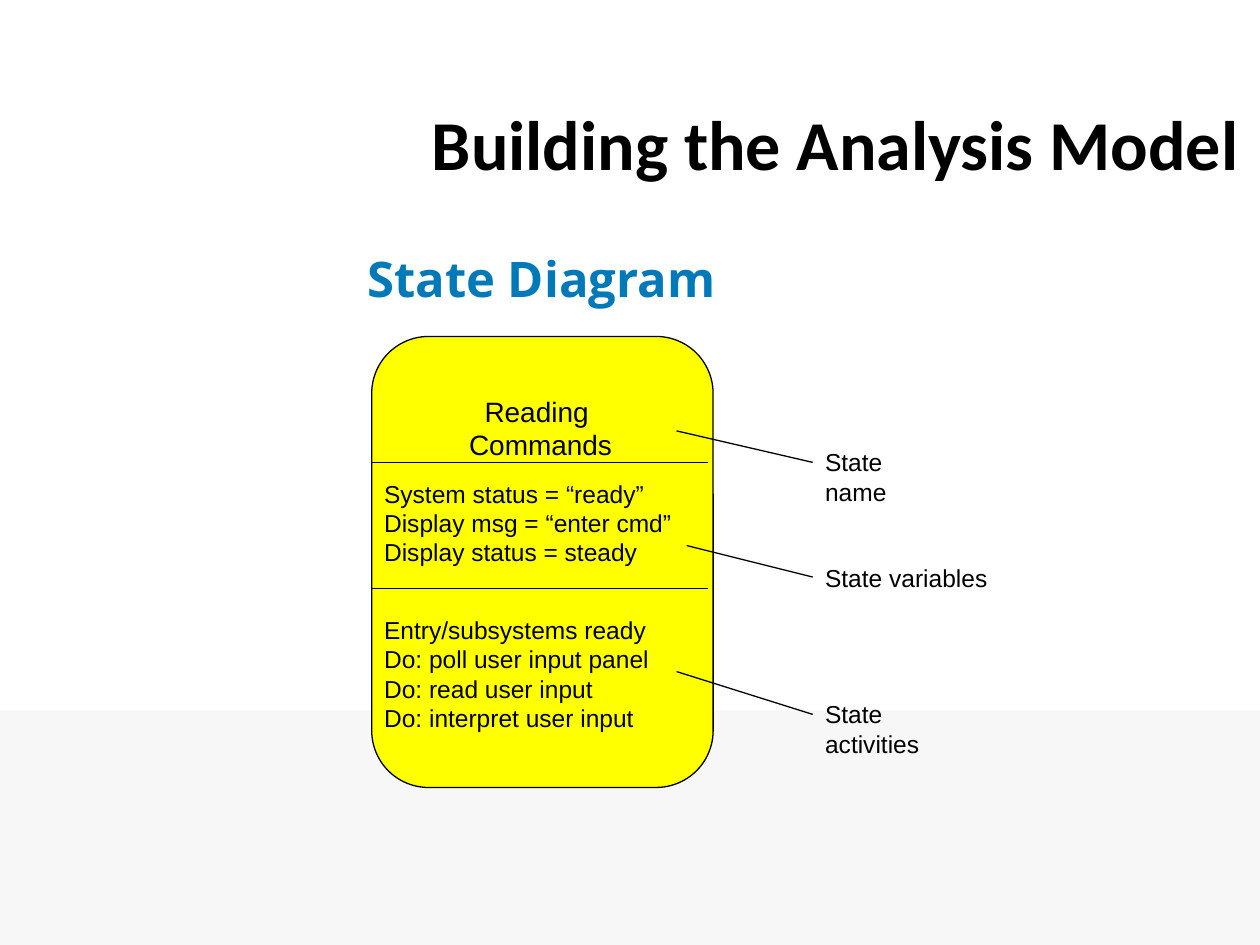
"""Builds the State Diagram slide of the analysis model."""
from dataclasses import dataclass

from lxml.etree import SubElement
from pptx import Presentation
from pptx.dml.color import RGBColor
from pptx.enum.shapes import MSO_CONNECTOR, MSO_SHAPE
from pptx.enum.text import MSO_ANCHOR, PP_ALIGN
from pptx.oxml.ns import qn
from pptx.util import Inches, Pt


@dataclass(frozen=True)
class Theme:
    black: RGBColor = RGBColor(0, 0, 0)
    blue: RGBColor = RGBColor(0x00, 0x79, 0xB8)
    yellow: RGBColor = RGBColor(0xFF, 0xFF, 0x00)
    band: RGBColor = RGBColor(0xF7, 0xF7, 0xF7)
    heading: int = 40
    subheading: int = 28
    name: int = 16
    body: int = 14
    line: float = 0.75


theme = Theme()
prs = Presentation()
prs.slide_width, prs.slide_height = Inches(10), Inches(7.5)
shapes = prs.slides.add_slide(prs.slide_layouts[6]).shapes


def add_text(box, lines, size=theme.body, font="Arial", color=theme.black,
             bold=False, align=PP_ALIGN.LEFT, anchor=MSO_ANCHOR.TOP, wrap=True):
    frame = shapes.add_textbox(*map(Inches, box)).text_frame
    frame.word_wrap = wrap
    frame.vertical_anchor = anchor
    frame.text = "\n".join(lines)
    for paragraph in frame.paragraphs:
        paragraph.alignment = align
        paragraph.font.name = font
        paragraph.font.size = Pt(size)
        paragraph.font.bold = bold
        paragraph.font.color.rgb = color


def add_line(*ends):
    line = shapes.add_connector(MSO_CONNECTOR.STRAIGHT, *map(Inches, ends))
    line.line.color.rgb = theme.black
    line.line.width = Pt(theme.line)
    SubElement(line._element.spPr, qn("a:effectLst"))


band = shapes.add_shape(MSO_SHAPE.RECTANGLE, Inches(0), Inches(5.64), Inches(10), Inches(1.86))
band.shadow.inherit = False
band.fill.solid()
band.fill.fore_color.rgb = theme.band
band.line.fill.background()

add_text((3.33, 0.75, 6.67, 0.77), ["Building the Analysis Model"],
         theme.heading, "Calibri", bold=True)
add_text((1.92, 1.83, 4.75, 0.75), ["State Diagram"], theme.subheading, "Open Sans",
         theme.blue, True, PP_ALIGN.CENTER, MSO_ANCHOR.MIDDLE)

state = shapes.add_shape(MSO_SHAPE.ROUNDED_RECTANGLE,
                         Inches(2.95), Inches(2.67), Inches(2.71), Inches(3.58))
state.adjustments[0] = 1 / 6
state.shadow.inherit = False
state.fill.solid()
state.fill.fore_color.rgb = theme.yellow
state.line.color.rgb = theme.black
state.line.width = Pt(theme.line)

for divider_y in (3.67, 4.67):
    add_line(2.95, divider_y, 5.62, divider_y)

add_text((3.62, 3.08, 1.34, 0.64), ["Reading ", "Commands"], theme.name, align=PP_ALIGN.CENTER)
add_text((2.95, 3.75, 2.58, 0.8), [
    "System status = “ready”",
    "Display msg = “enter cmd”",
    "Display status = steady",
])
add_text((2.95, 4.83, 2.58, 1.27), [
    "Entry/subsystems ready",
    "Do: poll user input panel",
    "Do: read user input",
    "Do: interpret user input",
])

callouts = [
    ("State name", 3.5, 1.19, 3.67, 5.37, 3.42),
    ("State variables", 4.42, 1.49, 4.58, 5.45, 4.33),
    ("State activities", 5.5, 1.45, 5.67, 5.37, 5.33),
]
for label, top, width, start_y, end_x, end_y in callouts:
    add_text((6.45, top, width, 0.34), [label], wrap=False)
    add_line(6.45, start_y, end_x, end_y)

prs.save("out.pptx")
